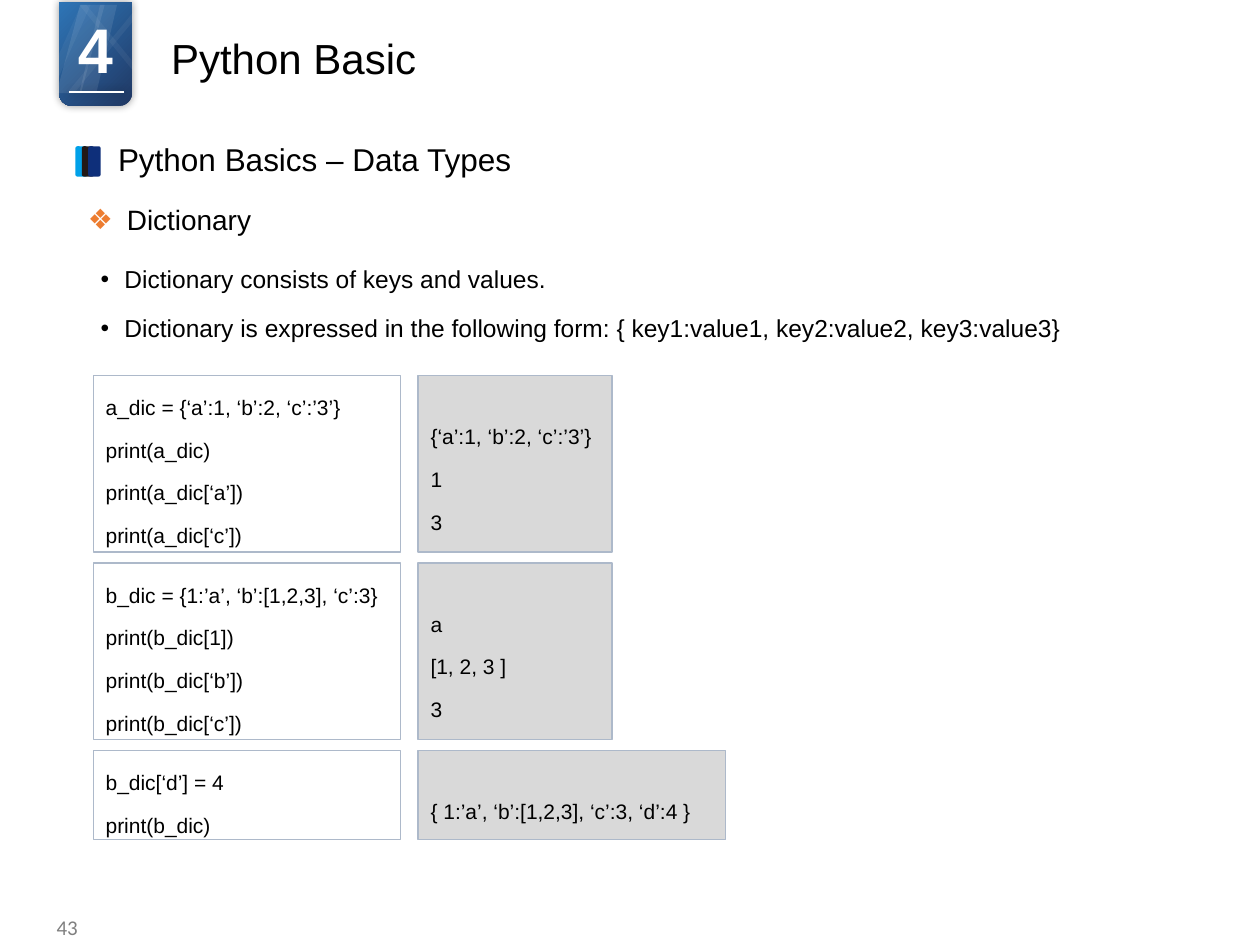
from dataclasses import dataclass

from lxml.etree import SubElement
from pptx import Presentation
from pptx.dml.color import RGBColor
from pptx.enum.shapes import MSO_CONNECTOR, MSO_SHAPE
from pptx.enum.text import MSO_ANCHOR, PP_ALIGN
from pptx.oxml.ns import qn
from pptx.util import Cm, Pt


@dataclass(frozen=True)
class Theme:
    font: str = "Arial"
    number_font: str = "Calibri"
    text: str = "000000"
    white: str = "FFFFFF"
    muted: str = "808080"
    accent: str = "ED7D31"
    border: str = "ADB9CA"
    output: str = "D9D9D9"
    badge: tuple = ("203864", "2E75B6")
    marker: tuple = ("00A1E9", "231916", "0E2F7A")
    badge_size: int = 36
    title_size: int = 24
    heading_size: int = 18
    topic_size: int = 16
    body_size: int = 14
    code_size: int = 12


class SlideBuilder:
    def __init__(self, slide, theme):
        self.slide = slide
        self.theme = theme

    def apply(self, target, values):
        for name, value in values.items():
            setattr(target, name, value)

    def shape(self, kind, box, fill=None, line=None, alpha=None, parent=None):
        shapes = (parent or self.slide).shapes
        shape = shapes.add_shape(kind, *(Cm(length) for length in box))
        shape.shadow.inherit = False
        if fill:
            shape.fill.solid()
            shape.fill.fore_color.rgb = RGBColor.from_string(fill)
        else:
            shape.fill.background()
        if line:
            shape.line.color.rgb = RGBColor.from_string(line)
            shape.line.width = Pt(0.75)
        else:
            shape.line.fill.background()
        if alpha:
            color = shape._element.spPr.find(".//" + qn("a:srgbClr"))
            SubElement(color, qn("a:alpha"), val=str(alpha * 1000))
        return shape

    def glow(self, shape):
        properties = shape._element.spPr
        effects = properties.find(qn("a:effectLst"))
        if effects is None:
            effects = SubElement(properties, qn("a:effectLst"))
        shadow = SubElement(effects, qn("a:outerShdw"), blurRad=str(Pt(5)), dist="0", dir="0")
        color = SubElement(shadow, qn("a:srgbClr"), val=self.theme.text)
        SubElement(color, qn("a:alpha"), val="40000")

    def line(self, start, end, color):
        connector = self.slide.shapes.add_connector(
            MSO_CONNECTOR.STRAIGHT, *(Cm(length) for length in start + end))
        connector.line.color.rgb = RGBColor.from_string(color)
        connector.line.width = Pt(1)
        self.glow(connector)

    def bullet(self, paragraph, character, indent, color=None):
        properties = paragraph._p.get_or_add_pPr()
        properties.set("marL", str(Cm(indent)))
        properties.set("indent", str(-Cm(indent)))
        if color:
            holder = SubElement(properties, qn("a:buClr"))
            SubElement(holder, qn("a:srgbClr"), val=color)
        SubElement(properties, qn("a:buFont"), typeface=self.theme.font)
        SubElement(properties, qn("a:buChar"), char=character)

    def fill_text(self, shape, lines, size, color=None, font=None, bold=False,
                  anchor=MSO_ANCHOR.TOP, margin_top=0.13, bullet=None, **layout):
        frame = shape.text_frame
        self.apply(frame, {"word_wrap": True, "vertical_anchor": anchor,
                           "margin_top": Cm(margin_top)})
        formats = {"alignment": PP_ALIGN.LEFT, **layout}
        for index, text in enumerate(lines):
            paragraph = frame.add_paragraph() if index else frame.paragraphs[0]
            if bullet:
                self.bullet(paragraph, *bullet)
            self.apply(paragraph, formats)
            run = paragraph.add_run()
            run.text = text
            self.apply(run.font, {"name": font or self.theme.font, "size": Pt(size), "bold": bold})
            run.font.color.rgb = RGBColor.from_string(color or self.theme.text)
        return shape

    def text(self, box, lines, size, **options):
        shape = self.slide.shapes.add_textbox(*(Cm(length) for length in box))
        return self.fill_text(shape, lines, size, **options)

    def badge(self, number):
        theme = self.theme
        tab = self.shape(MSO_SHAPE.ROUND_2_SAME_RECTANGLE, (1.19, 0.05, 1.47, 2.08))
        tab.rotation = 180
        tab.fill.gradient()
        tab.fill.gradient_angle = 315
        for stop, color in zip(tab.fill.gradient_stops, theme.badge):
            stop.color.rgb = RGBColor.from_string(color)
        self.glow(tab)
        self.line((2.51, 1.85), (1.4, 1.85), theme.white)
        rays = self.slide.shapes.add_group_shape()
        for left, width, slant, alpha, flipped in (
            (1.14, 0.97, 0.49, 9, False),
            (1.6, 0.76, 0.55, 9, False),
            (1.35, 1.6, 0.91, 5, False),
            (0.84, 0.99, 0.8, 5, False),
            (1.6, 1.6, 0.91, 5, True),
        ):
            ray = self.shape(MSO_SHAPE.PARALLELOGRAM, (left, 0.1, width, 1.78),
                             theme.white, alpha=alpha, parent=rays)
            ray.adjustments[0] = slant
            if flipped:
                ray._element.spPr.find(qn("a:xfrm")).set("flipH", "1")
        label = self.text((1.24, 0.08, 1.37, 1.8), [number], theme.badge_size,
                          color=theme.white, bold=True, alignment=PP_ALIGN.CENTER)
        label.text_frame.paragraphs[0].runs[0]._r.get_or_add_rPr().set("spc", "-150")

    def heading(self, text):
        marker = self.slide.shapes.add_group_shape()
        for index, color in enumerate(self.theme.marker):
            self.shape(MSO_SHAPE.ROUNDED_RECTANGLE, (1.52 + 0.13 * index, 2.95, 0.25, 0.61),
                       color, parent=marker)
        self.text((2.13, 2.77, 11.96, 0.94), [text], self.theme.heading_size,
                  anchor=MSO_ANCHOR.MIDDLE, line_spacing=0.9)

    def code_row(self, top, height, code, output, output_width, spacing):
        theme = self.theme
        panels = (
            (1.88, 6.2, None, code, 0.13),
            (8.43, output_width, theme.output, output, 0.72),
        )
        for left, width, fill, lines, margin in panels:
            panel = self.shape(MSO_SHAPE.RECTANGLE, (left, top, width, height), fill, theme.border)
            self.fill_text(panel, lines, theme.code_size, margin_top=margin, **spacing)


def main():
    presentation = Presentation()
    presentation.slide_width, presentation.slide_height = Cm(25.4), Cm(19.05)
    slide = presentation.slides.add_slide(presentation.slide_layouts[6])
    theme = Theme()
    builder = SlideBuilder(slide, theme)
    spacing = {"line_spacing": 1.5, "space_after": Pt(2.8)}

    builder.badge("4")
    builder.text((3.2, 0.53, 17.88, 1.45), ["Python Basic"], theme.title_size)
    builder.heading("Python Basics – Data Types")
    builder.text((1.52, 3.96, 9.73, 0.94), ["Dictionary"], theme.topic_size,
                 bullet=("❖", 0.79, theme.accent), space_after=Pt(2.8))
    builder.text((1.78, 4.9, 21.87, 2.06), [
        "Dictionary consists of keys and values.",
        "Dictionary is expressed in the following form: { key1:value1, key2:value2, key3:value3}",
    ], theme.body_size, bullet=("•", 0.48), **spacing)

    top, gap = 7.57, 0.22
    for height, output_width, code, output in (
        (3.56, 3.91,
         ["a_dic = {‘a’:1, ‘b’:2, ‘c’:’3’}", "print(a_dic)", "print(a_dic[‘a’])", "print(a_dic[‘c’])"],
         ["{‘a’:1, ‘b’:2, ‘c’:’3’}", "1", "3"]),
        (3.56, 3.91,
         ["b_dic = {1:’a’, ‘b’:[1,2,3], ‘c’:3}", "print(b_dic[1])", "print(b_dic[‘b’])", "print(b_dic[‘c’])"],
         ["a", "[1, 2, 3 ]", "3"]),
        (1.8, 6.2,
         ["b_dic[‘d’] = 4", "print(b_dic)"],
         ["{ 1:’a’, ‘b’:[1,2,3], ‘c’:3, ‘d’:4 }"]),
    ):
        builder.code_row(top, height, code, output, output_width, spacing)
        top += height + gap

    builder.text((0.58, 18.42, 1.24, 0.53), ["43"], theme.code_size, color=theme.muted,
                 font=theme.number_font, anchor=MSO_ANCHOR.MIDDLE, alignment=PP_ALIGN.RIGHT)
    presentation.save("out.pptx")


if __name__ == "__main__":
    main()
